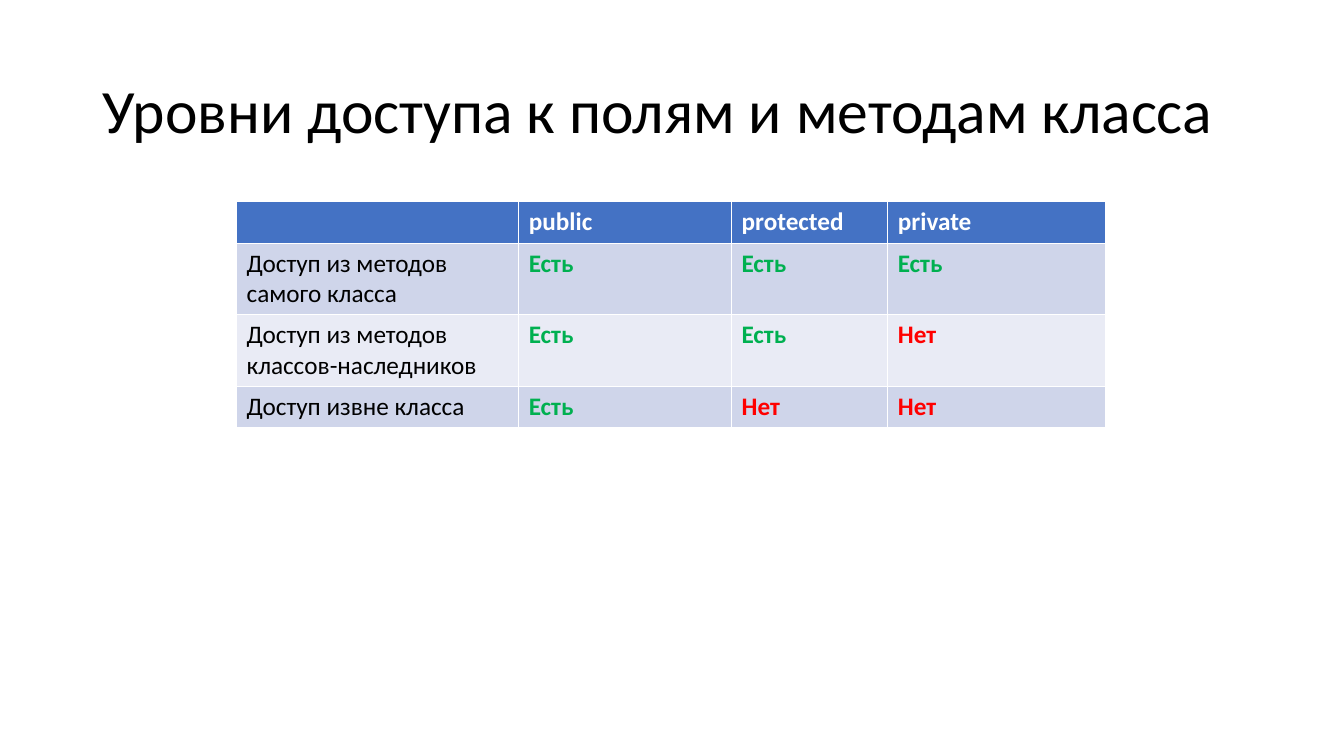
"""Slide with a table of access levels to class members."""
from dataclasses import dataclass

from pptx import Presentation
from pptx import util as u
from pptx.dml.color import RGBColor
from pptx.enum import text

WIDE, HIGH = 13.33, 7.5
FONT = "Calibri"
BLACK, WHITE, GREEN, RED = "000000", "FFFFFF", "00B050", "FF0000"
BLUE, BANDS = "4472C4", ("CFD5EA", "E9EBF5")
COLS = (2.8, 2.11, 1.55, 2.16)
LINE, PAD = 0.3, 0.11


@dataclass
class Row:
    """One table row: its label, its marks and its count of text lines."""
    label: str
    marks: tuple[str, ...]
    lines: int = 1


HEAD = Row("", ("public", "protected", "private"))
ROWS = (
    Row("Доступ из методов самого класса", ("Есть", "Есть", "Есть"), 2),
    Row("Доступ из методов классов-наследников", ("Есть", "Есть", "Нет"), 2),
    Row("Доступ извне класса", ("Есть", "Нет", "Нет")),
)
TONES = {"Есть": GREEN, "Нет": RED}


def paint(tone: str) -> RGBColor:
    """Turn a hex string into a colour."""
    return RGBColor.from_string(tone)


def across(share: float) -> int:
    """Give a share of the slide width."""
    return u.Inches(WIDE * share)


def down(share: float) -> int:
    """Give a share of the slide height."""
    return u.Inches(HIGH * share)


def write(para, words: str, size: int, tone: str, bold: bool = False) -> None:
    """Add one styled run to a paragraph."""
    run = para.add_run()
    run.text = words
    run.font.name, run.font.size, run.font.bold = FONT, u.Pt(size), bold
    run.font.color.rgb = paint(tone)


def title(slide, words: str) -> None:
    """Draw the slide title."""
    box = slide.shapes.add_textbox(across(0.069), down(0.053), across(0.863), down(0.193))
    frame = box.text_frame
    frame.word_wrap = True
    frame.vertical_anchor = text.MSO_ANCHOR.MIDDLE
    para = frame.paragraphs[0]
    para.line_spacing = 0.9
    write(para, words, 44, BLACK)


def grid(slide) -> None:
    """Draw the table of access levels."""
    rows = (HEAD, *ROWS)
    tall = [row.lines * LINE + PAD for row in rows]
    table = slide.shapes.add_table(
        len(rows), len(COLS), across(0.176), down(0.267),
        u.Inches(sum(COLS)), u.Inches(sum(tall))).table
    for col, width in zip(table.columns, COLS):
        col.width = u.Inches(width)
    for i, row in enumerate(rows):
        table.rows[i].height = u.Inches(tall[i])
        for j, words in enumerate((row.label, *row.marks)):
            cell = table.cell(i, j)
            cell.fill.solid()
            cell.fill.fore_color.rgb = paint(BANDS[(i - 1) % 2] if i else BLUE)
            if words:
                tone = TONES.get(words, BLACK) if i else WHITE
                write(cell.text_frame.paragraphs[0], words, 18, tone, j > 0)


def main() -> None:
    """Build and save the slide."""
    deck = Presentation()
    deck.slide_width, deck.slide_height = across(1), down(1)
    slide = deck.slides.add_slide(deck.slide_layouts[6])
    title(slide, "Уровни доступа к полям и методам класса")
    grid(slide)
    deck.save("out.pptx")


if __name__ == "__main__":
    main()
